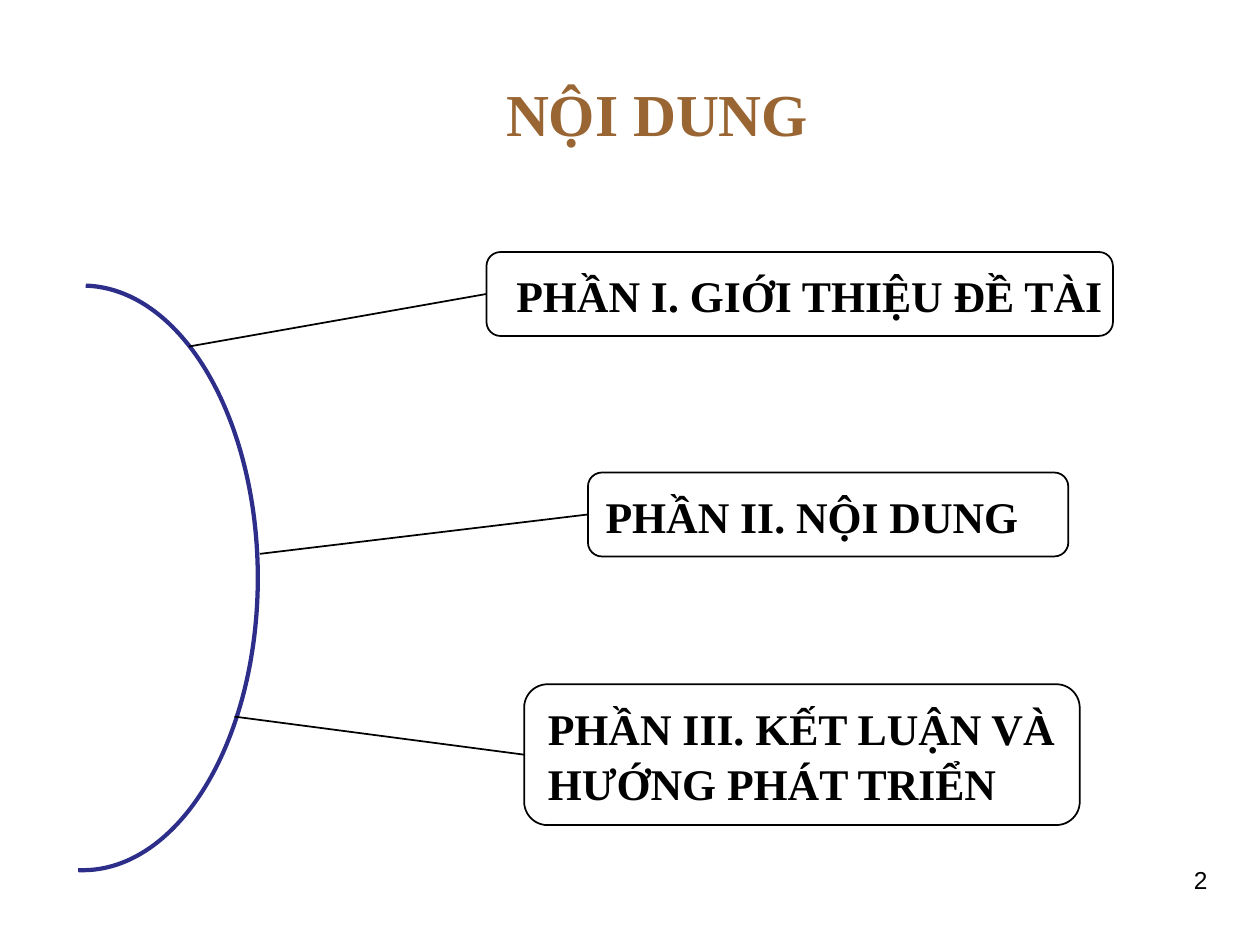
from pptx import Presentation
from pptx.dml.color import RGBColor
from pptx.enum.shapes import MSO_CONNECTOR as CONN, MSO_SHAPE as SHAPE
from pptx.enum.text import MSO_ANCHOR as ANCHOR, PP_ALIGN as ALIGN
from pptx.oxml.ns import qn
from pptx.util import Pt
from lxml.etree import SubElement

COLORS = {"title": "996633", "ink": "000000", "arc": "2D2D8A"}
SERIF, SANS = "Times New Roman", "Arial"

TITLE = "NỘI DUNG"
PAGE = "2"
# frame and label boxes: left, top, width, height; start: where the line leaves the arc
PARTS = [
    {"lines": ["PHẦN I. GIỚI THIỆU ĐỀ TÀI"], "start": (108, 198),
     "frame": (278, 144, 358, 48), "label": (288, 148.5, 360, 37.5)},
    {"lines": ["PHẦN II. NỘI DUNG"], "start": (148.5, 316.5),
     "frame": (336, 270, 274.5, 48), "label": (339, 275, 260, 37.5)},
    {"lines": ["PHẦN III. KẾT LUẬN VÀ", "HƯỚNG PHÁT TRIỂN"], "start": (134, 409.5),
     "frame": (299.5, 391, 317.5, 80.5), "label": (306, 396, 318, 67.5)},
]
ARC = (-121, 229, 336.5, 202.5)
ARC_ADJUST = (108.355, 0.55, 0.012)

HEADING = {"name": SERIF, "size": Pt(34), "bold": True}
LABEL = {"name": SERIF, "size": Pt(25), "bold": True}
NUMBER = {"name": SANS, "size": Pt(14), "bold": False}


def pts(box):
    return [Pt(v) for v in box]


def rgb(key):
    return RGBColor.from_string(COLORS[key])


def write(sp, lines, fmt, color="ink", align=ALIGN.LEFT, anchor=ANCHOR.TOP, spacing=1.0):
    tf = sp.text_frame
    tf.word_wrap = True
    tf.vertical_anchor = anchor
    for i, line in enumerate(lines):
        p = tf.add_paragraph() if i else tf.paragraphs[0]
        p.alignment, p.line_spacing = align, spacing
        r = p.add_run()
        r.text = line
        for name, value in fmt.items():
            setattr(r.font, name, value)
        r.font.color.rgb = rgb(color)


def outline(sp):
    sp.line.color.rgb = rgb("ink")
    sp.line.width = Pt(1)


prs = Presentation()
prs.slide_width, prs.slide_height = Pt(720), Pt(540)
s = prs.slides.add_slide(prs.slide_layouts[5])

# Title and page number
title = s.shapes.title
title.left, title.top, title.width, title.height = pts((282, 27.5, 202.5, 74))
write(title, [TITLE], HEADING, "title", anchor=ANCHOR.MIDDLE)
write(s.shapes.add_textbox(*pts((529, 490.5, 168, 43))), [PAGE], NUMBER, align=ALIGN.RIGHT)

# Arc
arc = s.shapes.add_shape(SHAPE.BLOCK_ARC, *pts(ARC))
arc.rotation = 90
for i, value in enumerate(ARC_ADJUST):
    arc.adjustments[i] = value
arc.shadow.inherit = False
arc.fill.solid()
arc.fill.fore_color.rgb = rgb("arc")
arc.line.fill.background()

# Lines from the arc to the middle of each frame's left side
for part in PARTS:
    left, top, _, height = part["frame"]
    line = s.shapes.add_connector(CONN.STRAIGHT, *pts((*part["start"], left, top + height / 2)))
    outline(line)
    SubElement(line._element.spPr, qn("a:effectLst"))

# Framed labels
for part in PARTS:
    group = s.shapes.add_group_shape()
    frame = group.shapes.add_shape(SHAPE.ROUNDED_RECTANGLE, *pts(part["frame"]))
    frame.shadow.inherit = False
    frame.fill.background()
    outline(frame)
    write(group.shapes.add_textbox(*pts(part["label"])), part["lines"], LABEL, spacing=1.05)

prs.save("out.pptx")
